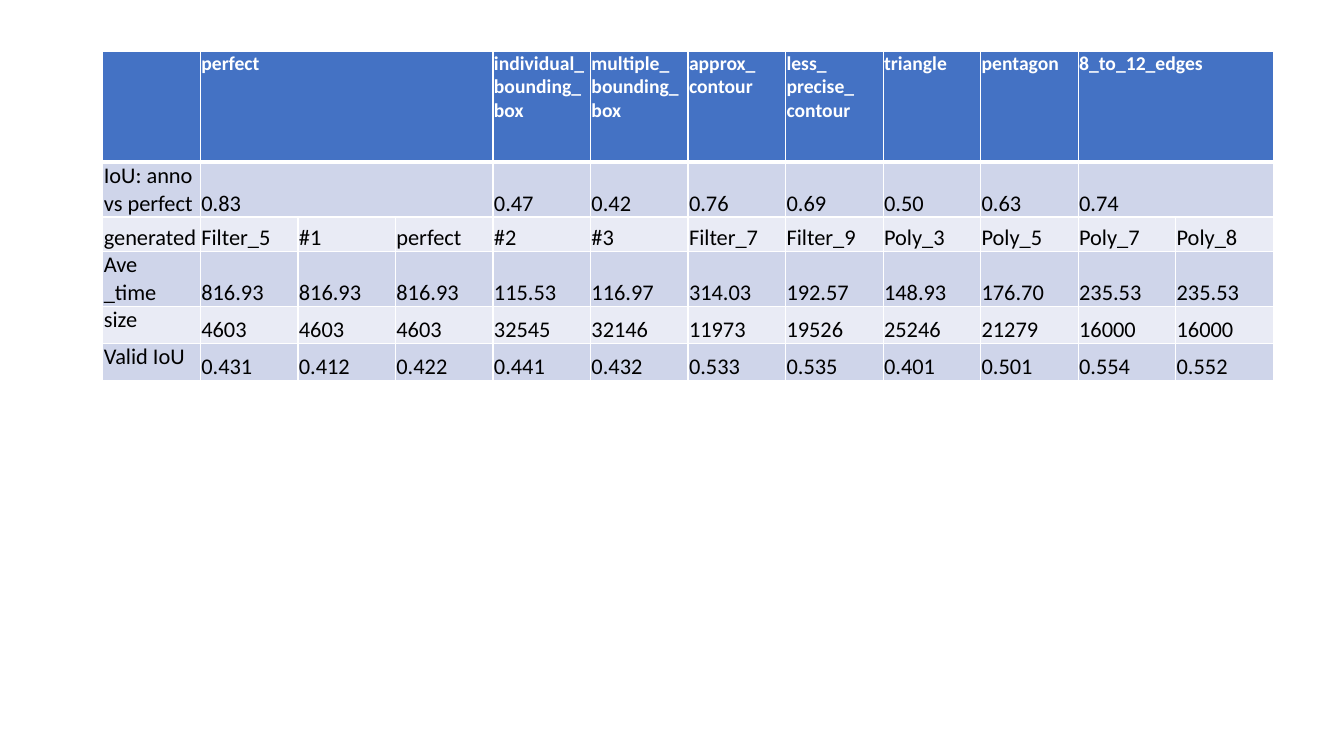
"""Build a slide with a table comparing annotation types by IoU, time and size."""
from dataclasses import dataclass

from lxml import etree
from pptx import Presentation
from pptx.dml.color import RGBColor
from pptx.enum import text
from pptx.oxml import ns
from pptx.util import Inches, Pt


@dataclass(frozen=True)
class Theme:
    font: str = "Calibri"
    header_fill: str = "4472C4"
    odd_fill: str = "CFD5EA"
    even_fill: str = "E9EBF5"
    header_text: str = "FFFFFF"
    body_text: str = "000000"
    border: str = "FFFFFF"
    header_size: int = 14
    body_size: int = 16
    thin: int = 1
    thick: int = 3


theme = Theme()


def add_border(cell, position, side, width):
    """Draw one side of a cell's border."""
    line = etree.Element(ns.qn(f"a:ln{side}"), w=str(Pt(width)))
    fill = etree.SubElement(line, ns.qn("a:solidFill"))
    etree.SubElement(fill, ns.qn("a:srgbClr"), val=theme.border)
    cell._tc.get_or_add_tcPr().insert(position, line)


results = [
    ["", "perfect", None, None, "individual_bounding_box", "multiple_\nbounding_box",
     "approx_\ncontour", "less_\nprecise_\ncontour", "triangle", "pentagon",
     "8_to_12_edges", None],
    ["IoU: anno vs perfect", "0.83", None, None, "0.47", "0.42", "0.76", "0.69",
     "0.50", "0.63", "0.74", None],
    ["generated", "Filter_5", "#1", "perfect", "#2", "#3", "Filter_7", "Filter_9",
     "Poly_3", "Poly_5", "Poly_7", "Poly_8"],
    ["Ave\n_time", "816.93", "816.93", "816.93", "115.53", "116.97", "314.03",
     "192.57", "148.93", "176.70", "235.53", "235.53"],
    ["size", "4603", "4603", "4603", "32545", "32146", "11973", "19526", "25246",
     "21279", "16000", "16000"],
    ["Valid IoU", "0.431", "0.412", "0.422", "0.441", "0.432", "0.533", "0.535",
     "0.401", "0.501", "0.554", "0.552"],
]
row_heights = [1.1, 0.37, 0.34, 0.37, 0.37, 0.37]
merged_columns = [(1, 3), (10, 11)]
top_labels = {"size", "Valid IoU"}

prs = Presentation()
prs.slide_width, prs.slide_height = Inches(13.33), Inches(7.5)
slide = prs.slides.add_slide(prs.slide_layouts[6])

comparison = slide.shapes.add_table(
    len(results), len(results[0]), Inches(1.02), Inches(0.51), Inches(11.61), Inches(2.92)
).table

for row, (values, height) in enumerate(zip(results, row_heights)):
    comparison.rows[row].height = Inches(height)
    is_header = row == 0
    band = theme.odd_fill if row % 2 else theme.even_fill
    fill = theme.header_fill if is_header else band
    color = theme.header_text if is_header else theme.body_text
    size = theme.header_size if is_header else theme.body_size
    widths = {"L": theme.thin, "R": theme.thin,
              "T": theme.thick if row == 1 else theme.thin,
              "B": theme.thick if is_header else theme.thin}

    for column, value in enumerate(values):
        cell = comparison.cell(row, column)
        cell.fill.solid()
        cell.fill.fore_color.rgb = RGBColor.from_string(fill)
        for position, (side, width) in enumerate(widths.items()):
            add_border(cell, position, side, width)
        cell.margin_left = cell.margin_right = Inches(0.01)
        cell.margin_top = cell.margin_bottom = 0
        at_top = is_header or value in top_labels
        cell.vertical_anchor = text.MSO_ANCHOR.TOP if at_top else text.MSO_ANCHOR.BOTTOM
        if not value:
            continue
        cell.text_frame.text = value
        for paragraph in cell.text_frame.paragraphs:
            for run in paragraph.runs:
                run.font.name = theme.font
                run.font.size = Pt(size)
                run.font.bold = is_header
                run.font.color.rgb = RGBColor.from_string(color)

for row in (0, 1):
    for first, last in merged_columns:
        comparison.cell(row, first).merge(comparison.cell(row, last))

prs.save("out.pptx")
